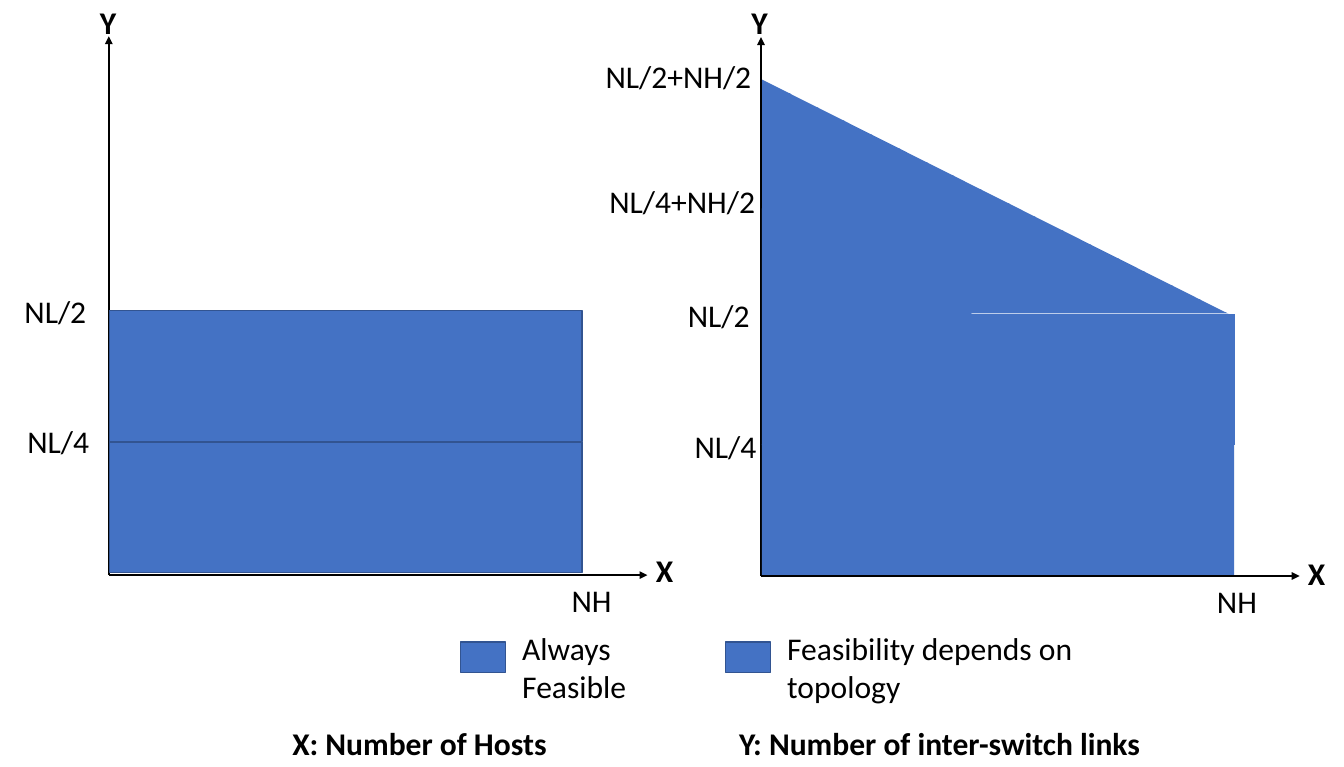
from pptx import Presentation
from pptx.util import Pt
from pptx.dml.color import RGBColor
from pptx.enum.dml import MSO_PATTERN
from pptx.enum.shapes import MSO_CONNECTOR, MSO_SHAPE
from pptx.enum.text import MSO_AUTO_SIZE
from pptx.oxml.ns import qn
from lxml import etree

RECT = MSO_SHAPE.RECTANGLE
WEDGE = MSO_SHAPE.ISOSCELES_TRIANGLE
STRIPES = MSO_PATTERN.DARK_HORIZONTAL
LINE = MSO_CONNECTOR.STRAIGHT
GROW = MSO_AUTO_SIZE.SHAPE_TO_FIT_TEXT
BLUE, EDGE, BLACK, WHITE = "4472C4", "325491", "000000", "FFFFFF"
color = RGBColor.from_string

deck = Presentation()
deck.slide_width, deck.slide_height = Pt(1022.4), Pt(583.2)
slide = deck.slides.add_slide(deck.slide_layouts[6])
shapes = slide.shapes


def text(words, left, top, width, height=36, bold=False, wrap=False):
    box = shapes.add_textbox(Pt(left), Pt(top), Pt(width), Pt(height))
    frame = box.text_frame
    frame.text = words
    frame.word_wrap = wrap
    frame.auto_size = GROW
    for para in frame.paragraphs:
        font = para.runs[0].font
        font.name, font.size, font.bold = "Calibri", Pt(24), bold
        font.color.rgb = color(BLACK)


def area(kind, left, top, width, height, striped=False, edged=False):
    shape = shapes.add_shape(kind, Pt(left), Pt(top), Pt(width), Pt(height))
    shape.shadow.inherit = False
    if kind == WEDGE:
        shape.adjustments[0] = 0
    if striped:
        shape.fill.patterned()
        shape.fill.pattern = STRIPES
        shape.fill.fore_color.rgb = color(BLUE)
        shape.fill.back_color.rgb = color(WHITE)
    else:
        shape.fill.solid()
        shape.fill.fore_color.rgb = color(BLUE)
    if edged:
        shape.line.color.rgb = color(EDGE)
        shape.line.width = Pt(1)
    else:
        shape.line.fill.background()


area(WEDGE, 579.6, 60.5, 358.6, 180, striped=True)

reach = 409.7
for left, base in ((82.8, 437.3), (578.9, 438)):
    for right, top in ((left, base - reach), (left + reach, base)):
        axis = shapes.add_connector(LINE, Pt(left), Pt(base), Pt(right), Pt(top))
        axis.line.color.rgb = color(BLACK)
        axis.line.width = Pt(1.5)
        props = axis.line._get_or_add_ln()
        etree.SubElement(props, qn("a:tailEnd"), type="triangle")
        etree.SubElement(axis._element.spPr, qn("a:effectLst"))

wide, high = 359.3, 99.4
area(RECT, 83.5, 336.2, wide, high, edged=True)
area(RECT, 83.5, 236.2, wide, high, striped=True, edged=True)
area(RECT, 579.6, 337.7, wide, high)
area(RECT, 580.3, 238.3, wide, high, striped=True)
area(WEDGE, 579.6, 158.4, 358.6, 180)

for words, left, top, width in (
    ("NL/2", 11.5, 218.2, 62),
    ("NL/4", 13.7, 317.5, 62),
    ("NH", 427.7, 438.5, 45.4),
    ("NL/2+NH/2", 453.6, 39.6, 126.7),
    ("NL/4+NH/2", 456.5, 134.6, 126.7),
    ("NL/2", 516.2, 221.8, 62),
    ("NL/4", 521.3, 321.1, 62),
    ("NH", 918.7, 439.2, 45.4),
):
    text(words, left, top, width)

for words, left, top, width in (
    ("Y", 68.8, -1.4, 27.4),
    ("X", 491.8, 415.4, 28),
    ("Y", 564.5, -1.4, 27.4),
    ("X", 987.8, 417.6, 28),
    ("X: Number of Hosts", 215.3, 547.2, 208),
    ("Y: Number of inter-switch links", 555.1, 547.2, 320),
):
    text(words, left, top, width, bold=True)

for words, left, width, striped in (
    ("Always\nFeasible", 350.6, 94.3, False),
    ("Feasibility depends on topology", 552.2, 261.4, True),
):
    area(RECT, left, 488.2, 33.8, 23, striped=striped, edged=True)
    text(words, left + 39.6, 474.5, width, height=65.5, wrap=striped)

deck.save("out.pptx")
